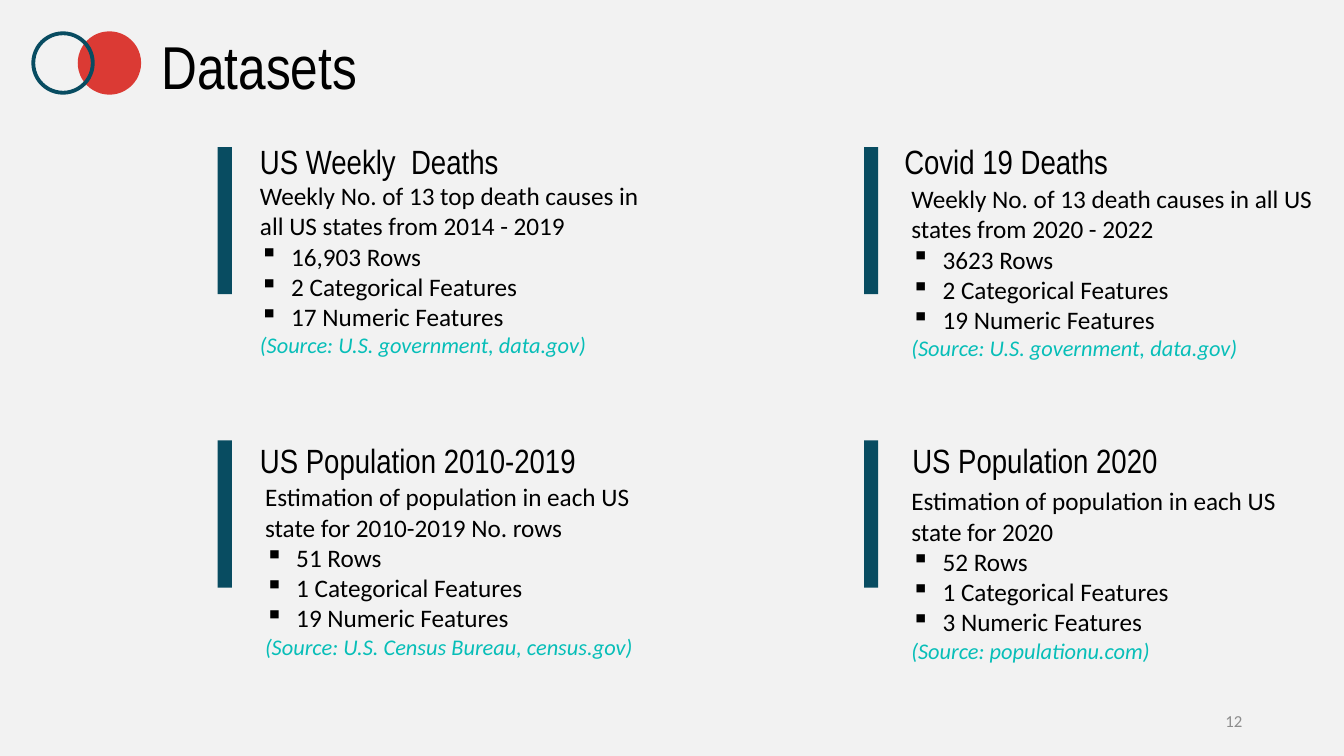
from dataclasses import dataclass

from lxml import etree
from pptx import Presentation
from pptx import util as u
from pptx.dml import color
from pptx.enum import shapes, text
from pptx.oxml import ns

WIDTH, HEIGHT = 13.33, 7.5
COLUMNS, ROWS = (2.16, 8.57), (1.46, 4.37)
NAVY, RED, TEAL, BLACK, GRAY, PALE = "084C61", "DB3A34", "07BEB8", "000000", "8C8C8C", "F2F2F2"
HEADING_FONT, BODY_FONT = "Arial Narrow", "Calibri"
BULLET_INDENT = 0.31


@dataclass
class Dataset:
    """One card; the shifts run from the top left of its bar to its text boxes."""
    column: int
    row: int
    name: str
    summary: str
    facts: tuple
    source: str
    heading_shift: tuple
    body_shift: tuple


DATASETS = (
    Dataset(0, 0, "US Weekly  Deaths",
            "Weekly No. of 13 top death causes in all US states from 2014 - 2019",
            ("16,903 Rows", "2 Categorical Features", "17 Numeric Features"),
            "(Source: U.S. government, data.gov)", (0.32, -0.11), (0.32, 0.28)),
    Dataset(1, 0, "Covid 19 Deaths",
            "Weekly No. of 13 death causes in all US states from 2020 - 2022",
            ("3623 Rows", "2 Categorical Features", "19 Numeric Features"),
            "(Source: U.S. government, data.gov)", (0.3, -0.11), (0.37, 0.31)),
    Dataset(0, 1, "US Population 2010-2019",
            "Estimation of population in each US state for 2010-2019 No. rows",
            ("51 Rows", "1 Categorical Features", "19 Numeric Features"),
            "(Source: U.S. Census Bureau, census.gov)", (0.32, -0.05), (0.37, 0.36)),
    Dataset(1, 1, "US Population 2020",
            "Estimation of population in each US state for 2020",
            ("52 Rows", "1 Categorical Features", "3 Numeric Features"),
            "(Source: populationu.com)", (0.38, -0.05), (0.37, 0.4)),
)


def paint(color_format, hex_color):
    color_format.rgb = color.RGBColor.from_string(hex_color)


def inches(*lengths):
    return [u.Inches(length) for length in lengths]


def format_font(paragraph, name, size, hex_color, italic=None):
    font = paragraph.font
    font.name, font.size, font.italic = name, u.Pt(size), italic
    paint(font.color, hex_color)


def add_bullet(paragraph):
    properties = paragraph._p.get_or_add_pPr()
    properties.set("marL", str(u.Inches(BULLET_INDENT)))
    properties.set("indent", str(-u.Inches(BULLET_INDENT)))
    etree.SubElement(properties, ns.qn("a:buChar")).set("char", "▪")


def add_shape(slide, kind, box, fill=None, line=None):
    shape = slide.shapes.add_shape(kind, *inches(*box))
    shape.shadow.inherit = False
    if fill:
        shape.fill.solid()
        paint(shape.fill.fore_color, fill)
    else:
        shape.fill.background()
    if line:
        paint(shape.line.color, line)
        shape.line.width = u.Pt(2.75)
    else:
        shape.line.fill.background()


def add_text_box(slide, box):
    frame = slide.shapes.add_textbox(*inches(*box)).text_frame
    frame.word_wrap = True
    return frame


def add_title(slide, wording):
    title = slide.shapes.title
    title.left, title.top, title.width, title.height = inches(1.5, 0.36, 10.92, 0.66)
    frame = title.text_frame
    frame.text = wording
    frame.auto_size = text.MSO_AUTO_SIZE.NONE
    frame.vertical_anchor = text.MSO_ANCHOR.MIDDLE
    paragraph = frame.paragraphs[0]
    paragraph.alignment = text.PP_ALIGN.LEFT
    paragraph.line_spacing = 0.9
    format_font(paragraph, HEADING_FONT, 43.2, BLACK)


def add_dataset(slide, dataset):
    left, top = COLUMNS[dataset.column], ROWS[dataset.row]
    add_shape(slide, shapes.MSO_SHAPE.RECTANGLE, (left, top, 0.14, 1.46), fill=NAVY)

    across, down = dataset.heading_shift
    heading = add_text_box(slide, (left + across, top + down, 3.79, 0.5))
    heading.text = dataset.name
    format_font(heading.paragraphs[0], HEADING_FONT, 24, BLACK)

    across, down = dataset.body_shift
    body = add_text_box(slide, (left + across, top + down, 4.22, 1.92))
    body.text = "\n".join((dataset.summary, *dataset.facts, dataset.source))
    summary, *facts, source = body.paragraphs
    for fact in facts:
        add_bullet(fact)
    for paragraph in (summary, *facts):
        format_font(paragraph, BODY_FONT, 18, BLACK)
    format_font(source, BODY_FONT, 16, TEAL, italic=True)


def add_page_number(slide, number):
    frame = add_text_box(slide, (9.42, 6.95, 3, 0.4))
    frame.text = str(number)
    frame.vertical_anchor = text.MSO_ANCHOR.MIDDLE
    frame.paragraphs[0].alignment = text.PP_ALIGN.RIGHT
    format_font(frame.paragraphs[0], BODY_FONT, 12, GRAY)


def main():
    presentation = Presentation()
    presentation.slide_width, presentation.slide_height = inches(WIDTH, HEIGHT)
    slide = presentation.slides.add_slide(presentation.slide_layouts.get_by_name("Title Only"))
    slide.background.fill.solid()
    paint(slide.background.fill.fore_color, PALE)

    add_shape(slide, shapes.MSO_SHAPE.OVAL, (0.79, 0.33, 0.59, 0.59), fill=RED, line=RED)
    add_shape(slide, shapes.MSO_SHAPE.OVAL, (0.33, 0.33, 0.59, 0.59), line=NAVY)
    add_title(slide, "Datasets")
    for dataset in DATASETS:
        add_dataset(slide, dataset)
    add_page_number(slide, 12)
    presentation.save("out.pptx")


if __name__ == "__main__":
    main()
